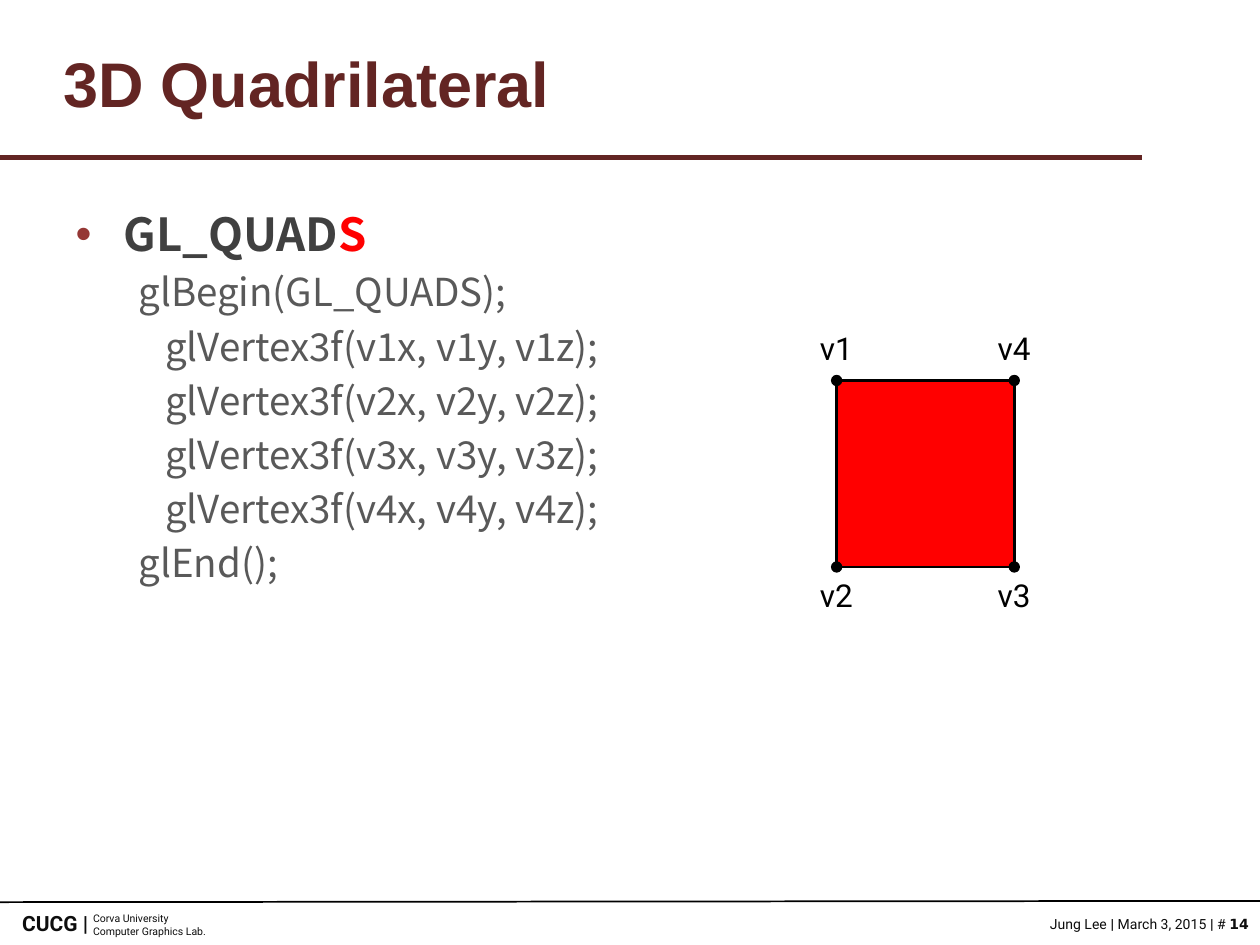
from pptx import Presentation
from pptx.dml.color import RGBColor
from pptx.enum.shapes import MSO_CONNECTOR, MSO_SHAPE
from pptx.enum.text import MSO_ANCHOR, MSO_AUTO_SIZE, PP_ALIGN
from pptx.oxml.ns import qn
from pptx.util import Inches, Pt
from lxml import etree

LEFT, RIGHT = PP_ALIGN.LEFT, PP_ALIGN.RIGHT
MIDDLE = MSO_ANCHOR.MIDDLE
NO_AUTOFIT = MSO_AUTO_SIZE.NONE
STRAIGHT = MSO_CONNECTOR.STRAIGHT
RECTANGLE, OVAL = MSO_SHAPE.RECTANGLE, MSO_SHAPE.OVAL

MAROON = RGBColor(0x63, 0x25, 0x23)
DARK = RGBColor(0x40, 0x40, 0x40)
GRAY = RGBColor(0x59, 0x59, 0x59)
INK = RGBColor(0x0D, 0x0D, 0x0D)
BLACK = RGBColor(0, 0, 0)
RED = RGBColor(0xFF, 0, 0)
BULLET_COLOR = "953735"


class QuadSlide:
    """Draws the elements of one slide in a shared style."""

    title_font, body_font, label_font = "Arial", "Noto Sans CJK KR", "Roboto"

    def __init__(self, presentation):
        self.slide = presentation.slides.add_slide(presentation.slide_layouts[1])

    def place(self, shape, left, top, width, height):
        shape.left, shape.top = Inches(left), Inches(top)
        shape.width, shape.height = Inches(width), Inches(height)

    def run(self, paragraph, text, font, size, color, bold=False):
        run = paragraph.add_run()
        run.text = text
        run.font.name, run.font.size, run.font.bold = font, Pt(size), bold
        run.font.color.rgb = color

    def title(self, text, *box):
        shape = self.slide.shapes.title
        self.place(shape, *box)
        frame = shape.text_frame
        frame.auto_size, frame.vertical_anchor = NO_AUTOFIT, MIDDLE
        frame.margin_left = Inches(0.2)
        paragraph = frame.paragraphs[0]
        paragraph.alignment = LEFT
        self.run(paragraph, text, self.title_font, 36, MAROON, True)

    def body(self, heading, code, *box):
        shape = self.slide.placeholders[1]
        self.place(shape, *box)
        frame = shape.text_frame
        frame.auto_size = NO_AUTOFIT
        paragraph = frame.paragraphs[0]
        self.indent(paragraph, 0.38, -0.38, "•")
        paragraph.line_spacing = Pt(33)
        for text, color in heading:
            self.run(paragraph, text, self.body_font, 26, color, True)
        for depth, text in code:
            paragraph = frame.add_paragraph()
            paragraph.level = 1
            self.indent(paragraph, 0.5 + 0.21 * depth, 0)
            paragraph.line_spacing, paragraph.space_before = Pt(26.5), Pt(4.4)
            self.run(paragraph, text, self.body_font, 22, GRAY)

    def indent(self, paragraph, left, first, bullet=None):
        properties = paragraph._p.get_or_add_pPr()
        properties.set("marL", str(Inches(left)))
        properties.set("indent", str(Inches(first)))
        if bullet:
            color = etree.SubElement(properties, qn("a:buClr"))
            etree.SubElement(color, qn("a:srgbClr")).set("val", BULLET_COLOR)
            etree.SubElement(properties, qn("a:buChar")).set("char", bullet)
        else:
            etree.SubElement(properties, qn("a:buNone"))

    def text(self, lines, size, color, *box, alignment=LEFT):
        shape = self.slide.shapes.add_textbox(*map(Inches, box))
        frame = shape.text_frame
        frame.word_wrap = True
        for index, runs in enumerate(lines):
            paragraph = frame.add_paragraph() if index else frame.paragraphs[0]
            paragraph.alignment = alignment
            for text, bold, *font in runs:
                self.run(paragraph, text, font[0] if font else self.label_font,
                         size, color, bold)

    def line(self, color, width, *ends):
        connector = self.slide.shapes.add_connector(STRAIGHT, *map(Inches, ends))
        connector.line.color.rgb, connector.line.width = color, Pt(width)
        etree.SubElement(connector._element.spPr, qn("a:effectLst"))

    def shape(self, kind, fill, width, *box):
        shape = self.slide.shapes.add_shape(kind, *map(Inches, box))
        shape.shadow.inherit = False
        shape.fill.solid()
        shape.fill.fore_color.rgb = fill
        shape.line.color.rgb, shape.line.width = BLACK, Pt(width)


presentation = Presentation()
presentation.slide_width, presentation.slide_height = Inches(10), Inches(7.5)
slide = QuadSlide(presentation)

slide.text([[("Corva University", False)], [("Computer Graphics Lab.", False)]],
           6, INK, 0.64, 7.19, 1.4, 0.3)
slide.text([[("Jung Lee ", False), ("| ", True), ("March 3, 2015 ", False),
             ("|", True), (" # ", False), ("14", True, "DejaVu Sans")]],
           8, INK, 7.79, 7.22, 2.22, 0.24, alignment=RIGHT)
slide.text([[("CUCG |", True)]], 12, INK, -0.04, 7.18, 0.84, 0.3, alignment=RIGHT)
slide.line(MAROON, 3, 0, 1.25, 9.06, 1.25)
slide.line(BLACK, 1, 0, 7.16, 10, 7.15)

slide.title("3D Quadrilateral", 0.3, 0.22, 9, 0.87)
vertex_calls = [(1, f"glVertex3f(v{n}x, v{n}y, v{n}z);") for n in range(1, 5)]
slide.body([("GL_QUAD", DARK), ("S", RED)],
           [(0, "glBegin(GL_QUADS);"), *vertex_calls, (0, "glEnd();")],
           0.5, 1.56, 9, 5.31)

quad_left, quad_top, quad_width, quad_height = 6.64, 3.02, 1.41, 1.48
dot = 0.08
slide.shape(RECTANGLE, RED, 1.5, quad_left, quad_top, quad_width, quad_height)
corners = [("v1", 0, 0), ("v2", 0, 1), ("v3", 1, 1), ("v4", 1, 0)]
for name, column, row in corners:
    x, y = quad_left + column * quad_width, quad_top + row * quad_height
    label_top = y + 0.02 if row else y - 0.46
    slide.text([[(name, False)]], 18, BLACK, x - 0.23, label_top, 0.47, 0.4)
    slide.shape(OVAL, BLACK, 0.75, x - dot / 2, y - dot / 2, dot, dot)

presentation.save("out.pptx")
